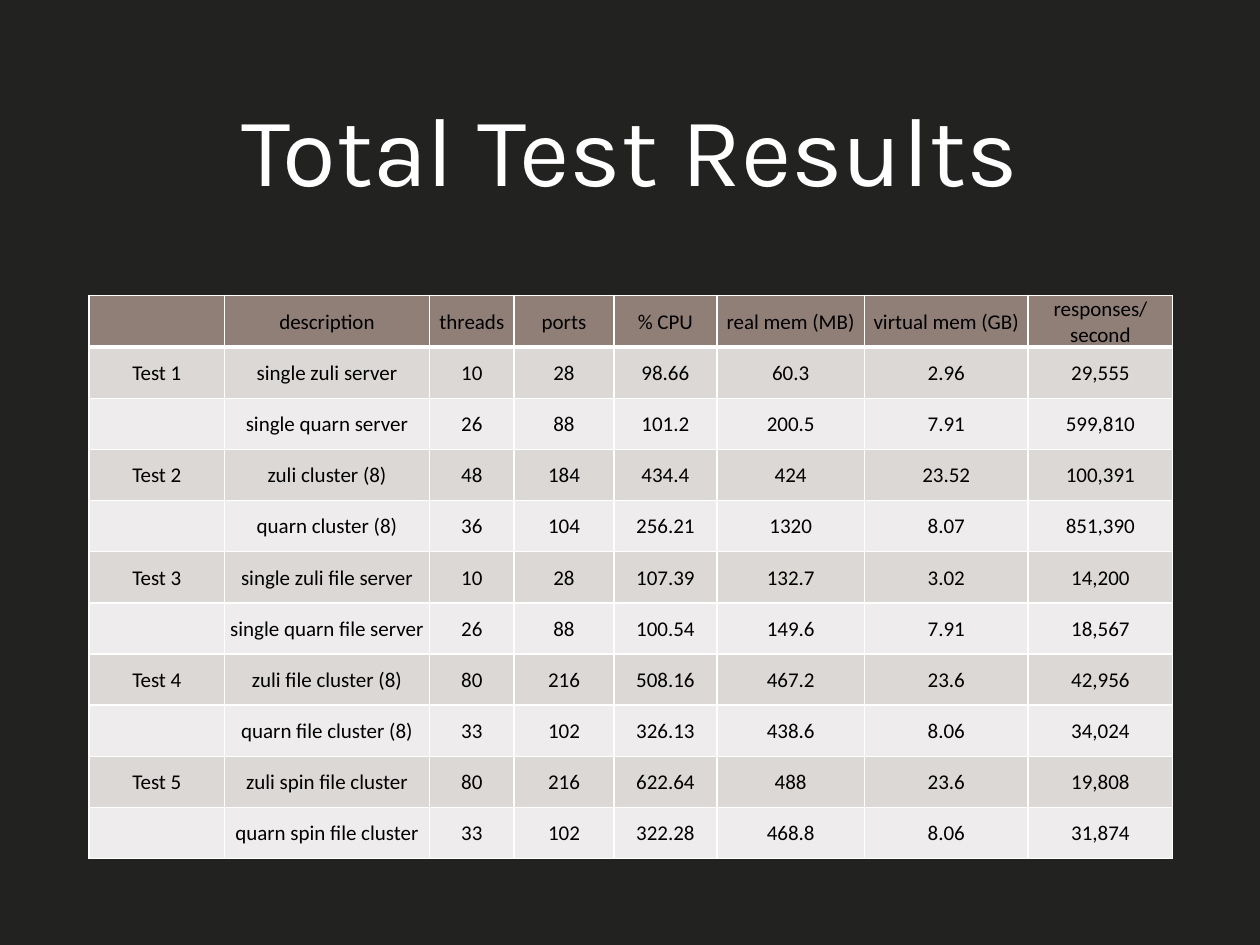
from lxml import etree
from pptx import Presentation
from pptx.dml.color import RGBColor
from pptx.enum.text import MSO_ANCHOR, PP_ALIGN
from pptx.oxml.ns import qn
from pptx.util import Pt

CENTER = PP_ALIGN.CENTER
MIDDLE = MSO_ANCHOR.MIDDLE

# Content
TITLE = "Total Test Results"
HEADER = ("", "description", "threads", "ports", "% CPU",
          "real mem (MB)", "virtual mem (GB)", "responses/second")
RESULTS = [
    ("Test 1", "single zuli server", "10", "28", "98.66", "60.3", "2.96", "29,555"),
    ("", "single quarn server", "26", "88", "101.2", "200.5", "7.91", "599,810"),
    ("Test 2", "zuli cluster (8)", "48", "184", "434.4", "424", "23.52", "100,391"),
    ("", "quarn cluster (8)", "36", "104", "256.21", "1320", "8.07", "851,390"),
    ("Test 3", "single zuli file server", "10", "28", "107.39", "132.7", "3.02", "14,200"),
    ("", "single quarn file server", "26", "88", "100.54", "149.6", "7.91", "18,567"),
    ("Test 4", "zuli file cluster (8)", "80", "216", "508.16", "467.2", "23.6", "42,956"),
    ("", "quarn file cluster (8)", "33", "102", "326.13", "438.6", "8.06", "34,024"),
    ("Test 5", "zuli spin file cluster", "80", "216", "622.64", "488", "23.6", "19,808"),
    ("", "quarn spin file cluster", "33", "102", "322.28", "468.8", "8.06", "31,874"),
]

# Layout and colours
COLUMN_WIDTHS = (77.3, 117.2, 48.4, 56.9, 59, 84.2, 93.6, 82.6)
ROW_HEIGHT = 29.25
TABLE_LEFT, TABLE_TOP = 51, 168.8
BACKGROUND, WHITE, BLACK = "222221", "FFFFFF", "000000"
HEADER_FILL = "907F76"
BAND_FILLS = ("DBD8D6", "EEECEC")


def color(hex_value):
    return RGBColor.from_string(hex_value)


def style_text(paragraph, font_name, size, hex_value):
    paragraph.alignment = CENTER
    for font in (paragraph.font, *(run.font for run in paragraph.runs)):
        font.name = font_name
        font.size = Pt(size)
        font.color.rgb = color(hex_value)


def add_borders(cell, bottom_width):
    properties = cell._tc.get_or_add_tcPr()
    widths = {"a:lnL": 1, "a:lnR": 1, "a:lnT": 1, "a:lnB": bottom_width}
    for position, (side, width) in enumerate(widths.items()):
        border = etree.Element(qn(side), w=str(Pt(width)))
        fill = etree.SubElement(border, qn("a:solidFill"))
        etree.SubElement(fill, qn("a:srgbClr"), val=WHITE)
        properties.insert(position, border)


presentation = Presentation()
presentation.slide_width, presentation.slide_height = Pt(720), Pt(540)
slide = presentation.slides.add_slide(presentation.slide_layouts[6])
slide.background.fill.solid()
slide.background.fill.fore_color.rgb = color(BACKGROUND)

# Title
title = slide.shapes.add_textbox(Pt(63), Pt(30), Pt(594), Pt(108)).text_frame
title.word_wrap = True
title.vertical_anchor = MIDDLE
title.text = TITLE
style_text(title.paragraphs[0], "Karla", 56, WHITE)

# Results table
rows = [HEADER, *RESULTS]
table = slide.shapes.add_table(
    len(rows), len(HEADER), Pt(TABLE_LEFT), Pt(TABLE_TOP),
    Pt(sum(COLUMN_WIDTHS)), Pt(ROW_HEIGHT * len(rows))).table
for column, width in zip(table.columns, COLUMN_WIDTHS):
    column.width = Pt(width)

for row_index, values in enumerate(rows):
    table.rows[row_index].height = Pt(ROW_HEIGHT)
    is_header = row_index == 0
    row_fill = HEADER_FILL if is_header else BAND_FILLS[(row_index - 1) % 2]
    for column_index, value in enumerate(values):
        cell = table.cell(row_index, column_index)
        cell.text = value
        cell.vertical_anchor = MIDDLE
        cell.margin_left = cell.margin_right = cell.margin_top = Pt(0.75)
        cell.margin_bottom = 0
        cell.fill.solid()
        cell.fill.fore_color.rgb = color(row_fill)
        style_text(cell.text_frame.paragraphs[0], "Calibri", 12, BLACK)
        add_borders(cell, 3 if is_header else 1)

presentation.save("out.pptx")
